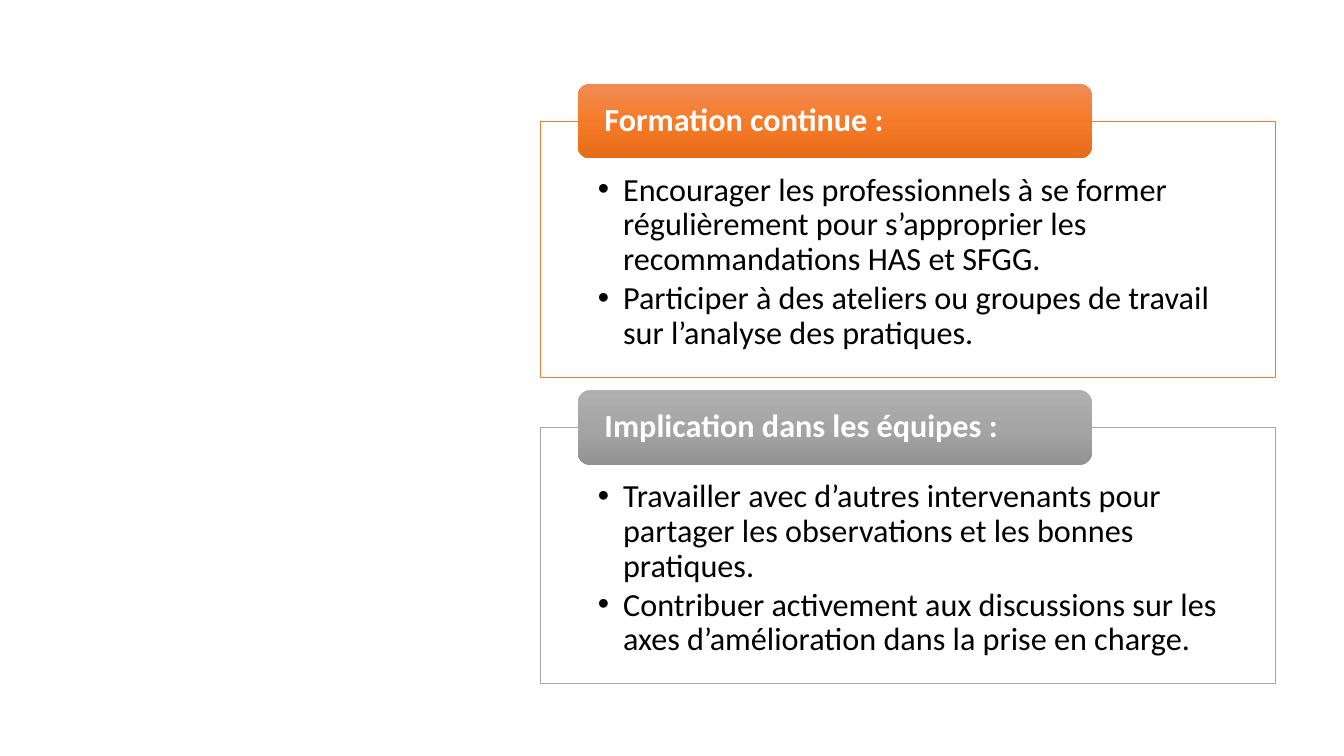
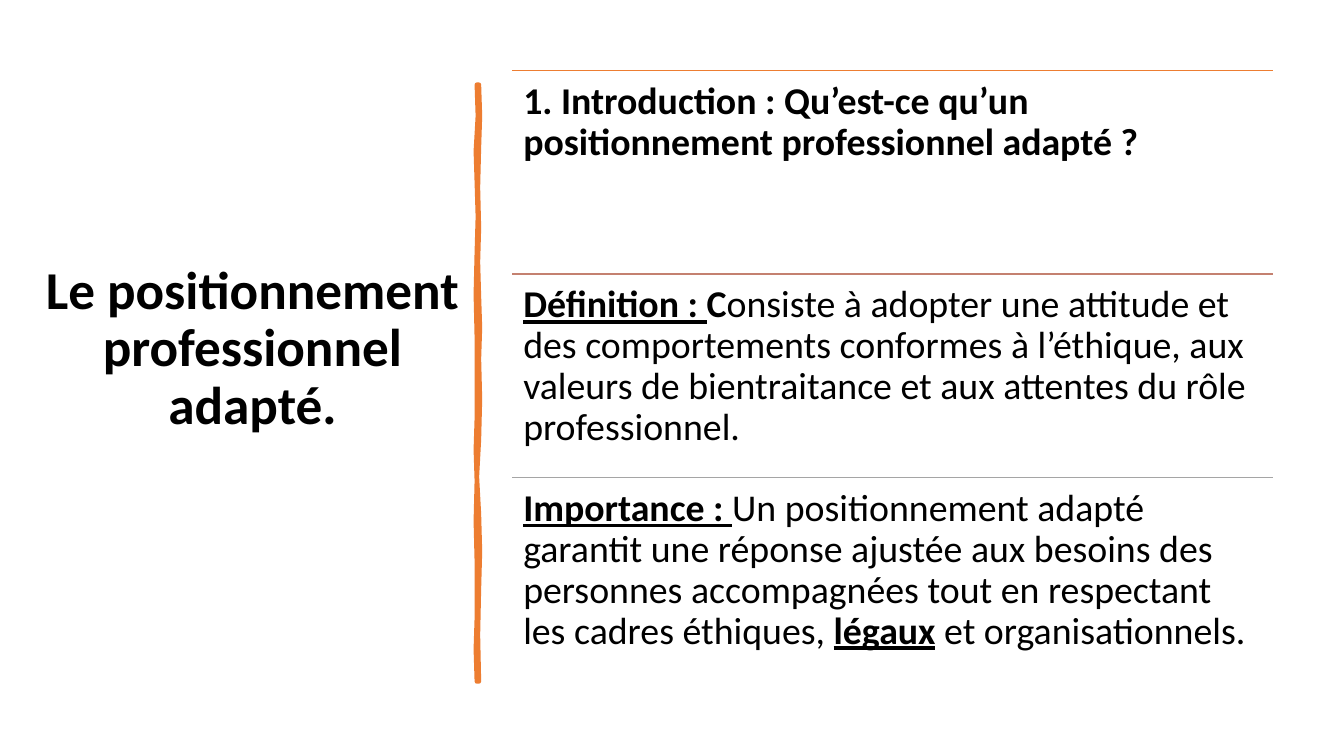
from copy import deepcopy

from lxml.etree import SubElement
from pptx import Presentation
from pptx.dml.color import RGBColor
from pptx.enum.shapes import MSO_CONNECTOR, MSO_SHAPE
from pptx.enum.text import MSO_ANCHOR as Anchor, PP_ALIGN as Align
from pptx.oxml.ns import qn
from pptx.util import Inches, Pt

FONT = "Calibri"
BLACK, WHITE = "000000", "FFFFFF"
ORANGE, ROSE, GREY = "ED7D31", "C48170", "A5A5A5"


def color(value):
    return RGBColor.from_string(value)


def write(shape, paragraphs, size, ink=BLACK, insets=(0.1, 0.05, 0.1, 0.05),
          align=Align.LEFT, anchor=Anchor.TOP, bullet=False, after=0):
    """Fill a shape with paragraphs, each a list of (text, bold, underline)."""
    frame = shape.text_frame
    frame.word_wrap = True
    frame.vertical_anchor = anchor
    (frame.margin_left, frame.margin_top,
     frame.margin_right, frame.margin_bottom) = [Inches(inset) for inset in insets]
    for index, spans in enumerate(paragraphs):
        para = frame.add_paragraph() if index else frame.paragraphs[0]
        para.alignment = align
        para.line_spacing = 0.9
        para.space_after = Pt(after)
        if bullet:
            props = para._p.get_or_add_pPr()
            props.set("marL", str(Inches(0.25)))
            props.set("indent", str(Inches(-0.25)))
            SubElement(props, qn("a:buFont"), typeface="Arial")
            SubElement(props, qn("a:buChar"), char="•")
        for text, bold, underline in spans:
            span = para.add_run()
            span.text = text
            span.font.name = FONT
            span.font.size = Pt(size)
            span.font.bold = bold
            span.font.underline = underline
            span.font.color.rgb = color(ink)


deck = Presentation()
deck.slide_width, deck.slide_height = Inches(13.33), Inches(7.5)
blank = deck.slide_layouts[6]

# Slide 1: two framed lists, each with a gradient heading tab
slide = deck.slides.add_slide(blank)
cards = [
    ("Formation continue :", ORANGE, ("F18C57", "F67B28", "E56C19"), [
        "Encourager les professionnels à se former régulièrement pour "
        "s’approprier les recommandations HAS et SFGG.",
        "Participer à des ateliers ou groupes de travail sur l’analyse des pratiques.",
    ]),
    ("Implication dans les équipes :", GREY, ("AFAFAF", "A5A5A5", "939393"), [
        "Travailler avec d’autres intervenants pour partager les observations "
        "et les bonnes pratiques.",
        "Contribuer activement aux discussions sur les axes d’amélioration "
        "dans la prise en charge.",
    ]),
]
for row, (heading, edge, shades, points) in enumerate(cards):
    top = 1.2 + row * 3.04
    card = slide.shapes.add_shape(MSO_SHAPE.RECTANGLE, Inches(5.36), Inches(top),
                                  Inches(7.29), Inches(2.54))
    card.shadow.inherit = False
    card.fill.solid()
    card.fill.fore_color.rgb = color(WHITE)
    card.line.color.rgb = color(edge)
    card.line.width = Pt(0.5)
    write(card, [[(point, False, False)] for point in points], 23,
          insets=(0.57, 0.52, 0.57, 0.18), bullet=True, after=3)

    tab = slide.shapes.add_shape(MSO_SHAPE.ROUNDED_RECTANGLE, Inches(5.73),
                                 Inches(top - 0.37), Inches(5.1), Inches(0.74))
    tab.shadow.inherit = False
    tab.line.fill.background()
    tab.fill.gradient()
    tab.fill.gradient_angle = 270
    stops = tab._element.spPr.find(qn("a:gradFill")).find(qn("a:gsLst"))
    stops.append(deepcopy(stops[0]))
    for stop, position, shade in zip(tab.fill.gradient_stops, (0, 0.5, 1), shades):
        stop.position = position
        stop.color.rgb = color(shade)
    write(tab, [[(heading, True, False)]], 23, WHITE,
          insets=(0.23, 0, 0.23, 0), anchor=Anchor.MIDDLE)

# Slide 2: title, hand-drawn divider and three ruled rows
slide = deck.slides.add_slide(blank)
title = slide.shapes.add_textbox(Inches(0.28), Inches(0.7), Inches(4.45), Inches(5.54))
write(title, [[("Le positionnement professionnel adapté.", True, False)]], 38,
      align=Align.CENTER, anchor=Anchor.MIDDLE)

# Divider outline in hundredths of an inch: down the right edge, up the left
right_edge = [(475, 84), (476, 115), (475, 146), (474, 186), (475, 226), (474, 260),
              (475, 294), (476, 325), (475, 356), (476, 396), (475, 436), (473, 473),
              (475, 510), (476, 547), (475, 584), (474, 630), (475, 676)]
left_edge = [(473, 676), (472, 644), (473, 613), (473, 557), (472, 517), (473, 477),
             (472, 446), (473, 415), (473, 335), (472, 292), (473, 250), (474, 215),
             (473, 181), (472, 150), (474, 115), (473, 84)]
outline = slide.shapes.build_freeform(*right_edge[0], scale=Inches(0.01))
outline.add_line_segments(right_edge[1:] + left_edge, close=True)
divider = outline.convert_to_shape()
divider.shadow.inherit = False
divider.fill.solid()
divider.fill.fore_color.rgb = color(ORANGE)
divider.line.color.rgb = color(ORANGE)
divider.line.width = Pt(3.25)
SubElement(divider.line._get_or_add_ln(), qn("a:round"))

rows = [
    (ORANGE, [("1. Introduction : Qu’est-ce qu’un positionnement professionnel adapté ?",
               True, False)]),
    (ROSE, [("Définition : ", True, True), ("C", True, False),
            ("onsiste à adopter une attitude et des comportements conformes à "
             "l’éthique, aux valeurs de bientraitance et aux attentes du rôle "
             "professionnel.", False, False)]),
    (GREY, [("Importance : ", True, True),
            ("Un positionnement adapté garantit une réponse ajustée aux besoins des "
             "personnes accompagnées tout en respectant les cadres éthiques, ",
             False, False),
            ("légaux", True, True), (" et organisationnels.", False, False)]),
]
left, width, height = Inches(5.08), Inches(7.55), Inches(2.02)
for row, (rule_color, spans) in enumerate(rows):
    top = Inches(0.7) + row * height
    rule = slide.shapes.add_connector(MSO_CONNECTOR.STRAIGHT, left, top, left + width, top)
    rule.line.color.rgb = color(rule_color)
    rule.line.width = Pt(1)
    SubElement(rule._element.spPr, qn("a:effectLst"))
    box = slide.shapes.add_textbox(left, top, width, height)
    write(box, [spans], 27, insets=(0.11,) * 4)

deck.save("out.pptx")
